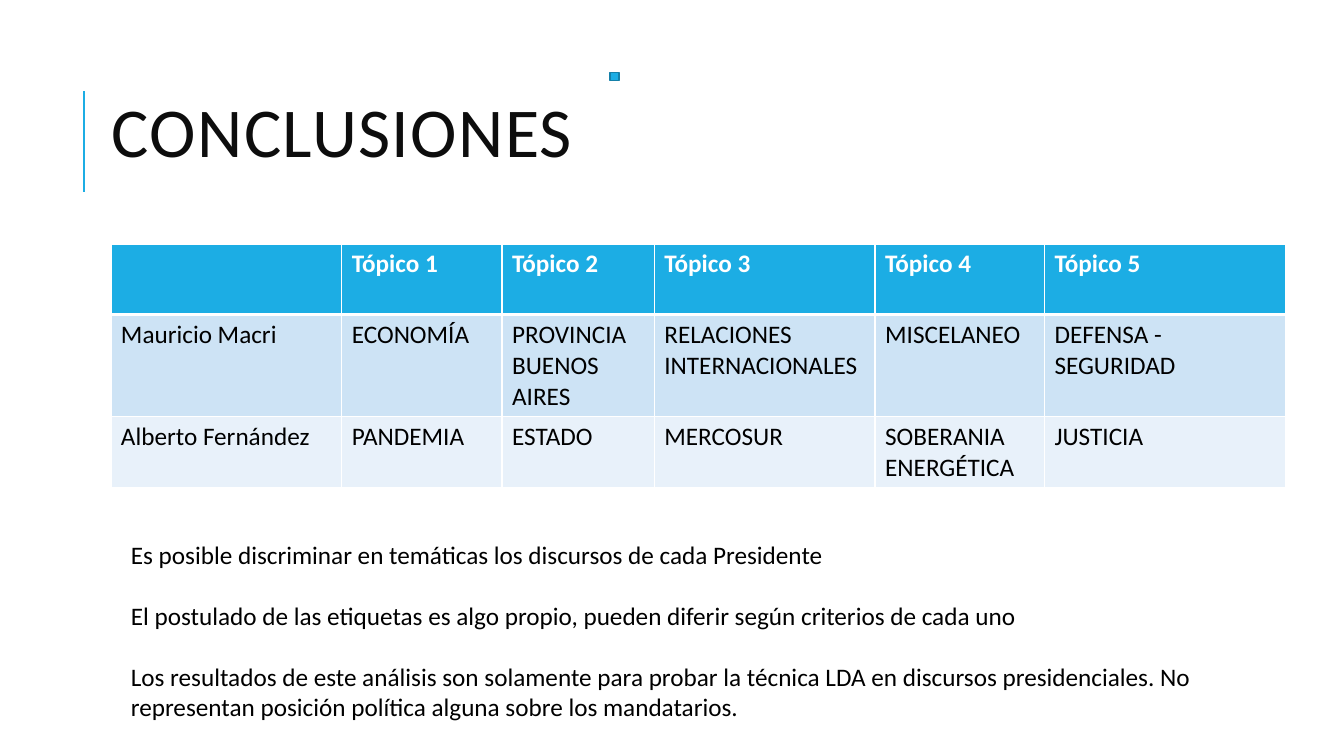
from dataclasses import dataclass

from lxml.etree import SubElement
from pptx import Presentation
from pptx.dml.color import RGBColor
from pptx.enum.shapes import MSO_CONNECTOR as Connector, MSO_SHAPE as Preset
from pptx.enum.text import MSO_ANCHOR as Anchor
from pptx.oxml import parse_xml
from pptx.oxml.ns import nsdecls, qn
from pptx.slide import Slide
from pptx.table import _Cell as Cell
from pptx.text.text import TextFrame
from pptx.util import Inches, Pt

COLORS = {
    "accent": "1CADE4",
    "accent_dark": "1580A9",
    "title": "0D0D0D",
    "text": "000000",
    "white": "FFFFFF",
    "band_dark": "CDE3F5",
    "band_light": "E8F1FA",
}
FONT = "Calibri"


@dataclass(frozen=True)
class TableRow:
    height: float
    fill: str
    labels: tuple[str, ...]
    color: str = "text"
    bold: bool = False
    top_width: float = 1
    bottom_width: float = 1


COLUMN_WIDTHS = (2.29, 1.59, 1.51, 2.19, 1.68, 2.39)
ROWS = (
    TableRow(0.7, "accent", ("", *(f"Tópico {number}" for number in range(1, 6))),
             color="white", bold=True, bottom_width=3),
    TableRow(1.01, "band_dark",
             ("Mauricio Macri", "ECONOMÍA", "PROVINCIA BUENOS AIRES",
              "RELACIONES INTERNACIONALES", "MISCELANEO", "DEFENSA -\nSEGURIDAD"),
             top_width=3),
    TableRow(0.71, "band_light",
             ("Alberto Fernández", "PANDEMIA", "ESTADO", "MERCOSUR",
              "SOBERANIA ENERGÉTICA", "JUSTICIA")),
)
CONCLUSIONS = (
    "Es posible discriminar en temáticas los discursos de cada Presidente",
    "El postulado de las etiquetas es algo propio, pueden diferir según criterios de cada uno",
    "Los resultados de este análisis son solamente para probar la técnica LDA en discursos "
    "presidenciales. No representan posición política alguna sobre los mandatarios.",
)


def rgb(name: str) -> RGBColor:
    return RGBColor.from_string(COLORS[name])


def write_text(frame: TextFrame, text: str, *, size: float = 18, color: str = "text",
               bold: bool = False, line_spacing: float | None = None,
               gap: float = 0, tracking: float = 0) -> None:
    frame.word_wrap = True
    frame.text = text
    for index, paragraph in enumerate(frame.paragraphs):
        paragraph.line_spacing = line_spacing
        if index and gap:
            paragraph.space_before = Pt(gap)
        paragraph.font.size = Pt(size)
        for run in paragraph.runs:
            run.font.size = Pt(size)
            run.font.name = FONT
            run.font.bold = bold
            run.font.color.rgb = rgb(color)
            if tracking:
                run.font._element.set("spc", str(round(tracking * 100)))


def add_text_box(slide: Slide, left: float, top: float, width: float,
                 height: float) -> TextFrame:
    shape = slide.shapes.add_textbox(Inches(left), Inches(top), Inches(width), Inches(height))
    return shape.text_frame


def set_borders(cell: Cell, top_width: float, bottom_width: float) -> None:
    properties = cell._tc.get_or_add_tcPr()
    widths = {"lnL": 1, "lnR": 1, "lnT": top_width, "lnB": bottom_width}
    for index, (side, width) in enumerate(widths.items()):
        border = parse_xml(
            f'<a:{side} {nsdecls("a")} w="{Pt(width)}"><a:solidFill>'
            f'<a:srgbClr val="{COLORS["white"]}"/></a:solidFill></a:{side}>')
        properties.insert(index, border)


def add_title(slide: Slide) -> None:
    line = slide.shapes.add_connector(
        Connector.STRAIGHT, Inches(0.83), Inches(1.9), Inches(0.83), Inches(0.9))
    line.line.color.rgb = rgb("accent")
    line.line.width = Pt(1.5)
    SubElement(line._element.spPr, qn("a:effectLst"))
    frame = add_text_box(slide, 1.01, 0.54, 10.63, 1.64)
    frame.vertical_anchor = Anchor.MIDDLE
    write_text(frame, "CONCLUSIONES", size=50, color="title", line_spacing=0.8, tracking=1)


def add_marker(slide: Slide) -> None:
    shape = slide.shapes.add_shape(
        Preset.RECTANGLE, Inches(6.05), Inches(0.72), Inches(0.09), Inches(0.08))
    shape.shadow.inherit = False
    shape.fill.solid()
    shape.fill.fore_color.rgb = rgb("accent")
    shape.line.color.rgb = rgb("accent_dark")
    shape.line.width = Pt(1.25)


def add_topics(slide: Slide) -> None:
    table = slide.shapes.add_table(
        len(ROWS), len(COLUMN_WIDTHS), Inches(1.1), Inches(2.42),
        Inches(sum(COLUMN_WIDTHS)), Inches(sum(row.height for row in ROWS))).table
    for column, width in zip(table.columns, COLUMN_WIDTHS):
        column.width = Inches(width)
    for table_row, row in zip(table.rows, ROWS):
        table_row.height = Inches(row.height)
        for cell, label in zip(table_row.cells, row.labels):
            cell.fill.solid()
            cell.fill.fore_color.rgb = rgb(row.fill)
            set_borders(cell, row.top_width, row.bottom_width)
            write_text(cell.text_frame, label, color=row.color, bold=row.bold)


def main() -> None:
    presentation = Presentation()
    presentation.slide_width = Inches(13.33)
    presentation.slide_height = Inches(7.5)
    slide = presentation.slides.add_slide(presentation.slide_layouts[6])
    add_title(slide)
    add_marker(slide)
    add_topics(slide)
    write_text(add_text_box(slide, 1.2, 5.3, 10.94, 1.92), "\n".join(CONCLUSIONS), gap=22)
    presentation.save("out.pptx")


if __name__ == "__main__":
    main()
